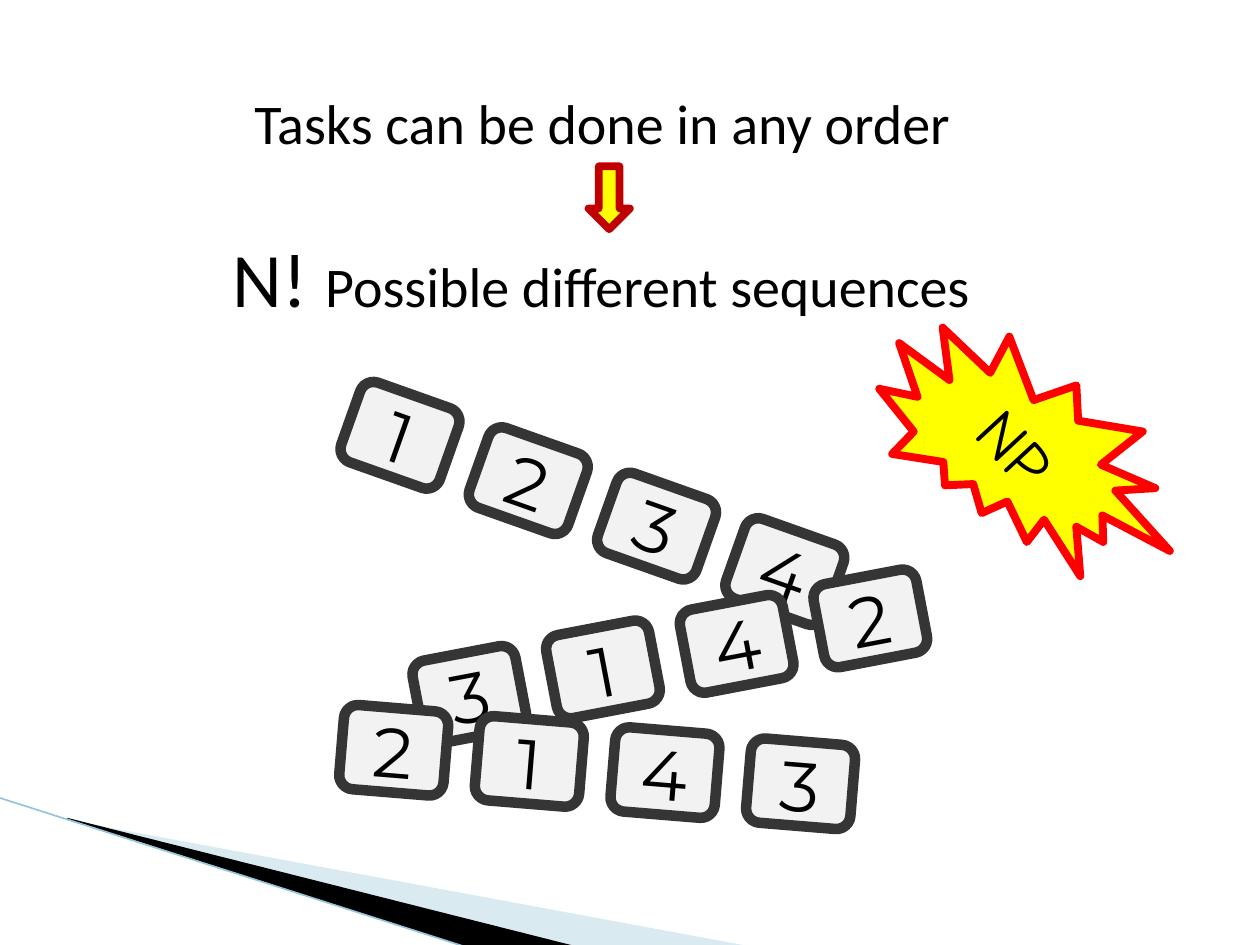
from math import cos, radians, sin

from lxml import etree
from pptx import Presentation
from pptx.dml.color import RGBColor
from pptx.enum.shapes import MSO_CONNECTOR, MSO_SHAPE
from pptx.enum.text import MSO_ANCHOR, MSO_AUTO_SIZE, PP_ALIGN
from pptx.oxml.ns import qn
from pptx.util import Inches, Pt

STRAIGHT = MSO_CONNECTOR.STRAIGHT
CARD, ARROW, BURST = (MSO_SHAPE.ROUNDED_RECTANGLE, MSO_SHAPE.DOWN_ARROW,
                      MSO_SHAPE.EXPLOSION2)
MIDDLE, CENTER, GROW = MSO_ANCHOR.MIDDLE, PP_ALIGN.CENTER, MSO_AUTO_SIZE.SHAPE_TO_FIT_TEXT

COLORS = {
    "black": "000000", "pale_blue": "A0CBDC", "edge": "97C5D8",
    "yellow": "FFFF00", "dark_red": "C00000", "red": "FF0000",
    "card": "F2F2F2", "card_edge": "353535",
}
CARD_SIZE = (0.83, 0.67)
CARD_STEP = 1.08

# Order of tasks, position of the first card, tilt in degrees
SEQUENCES = [
    ("1234", 2.76, 3.12, 19.5),
    ("3142", 3.31, 5.18, -10.8),
    ("2143", 2.71, 5.62, 4.7),
]


def rgb(name):
    return RGBColor.from_string(COLORS[name])


def add_run(paragraph, text, size, font):
    run = paragraph.add_run()
    run.text = text
    run.font.size = Pt(size)
    run.font.name = font
    run.font.color.rgb = rgb("black")


def add_wedge(slide, points, color, opacity=100):
    corners = [(Inches(x), Inches(y)) for x, y in points]
    builder = slide.shapes.build_freeform(*corners[0])
    builder.add_line_segments(corners[1:], close=True)
    wedge = builder.convert_to_shape()
    wedge.shadow.inherit = False
    wedge.fill.solid()
    wedge.fill.fore_color.rgb = rgb(color)
    wedge.line.fill.background()
    if opacity < 100:
        tint = wedge.fill._xPr.find(".//" + qn("a:srgbClr"))
        etree.SubElement(tint, qn("a:alpha"), val=str(opacity * 1000))


def add_edge(slide, start, end):
    edge = slide.shapes.add_connector(STRAIGHT, *map(Inches, start + end))
    edge.line.color.rgb = rgb("edge")
    edge.line.width = Pt(0.95)
    etree.SubElement(edge._element.spPr, qn("a:effectLst"))


def add_statement(slide, box, runs):
    frame = slide.shapes.add_textbox(*map(Inches, box)).text_frame
    frame.word_wrap = False
    frame.auto_size = GROW
    frame.vertical_anchor = MIDDLE
    paragraph = frame.paragraphs[0]
    paragraph.line_spacing = 1.5
    for text, size in runs:
        add_run(paragraph, text, size, "Calibri")


def add_figure(slide, kind, box, fill, line, width, rotation=0):
    figure = slide.shapes.add_shape(kind, *map(Inches, box))
    figure.shadow.inherit = False
    figure.rotation = rotation
    figure.fill.solid()
    figure.fill.fore_color.rgb = rgb(fill)
    figure.line.color.rgb = rgb(line)
    figure.line.width = Pt(width)
    return figure


def add_label(figure, text, size, font):
    frame = figure.text_frame
    frame.vertical_anchor = MIDDLE
    frame.margin_left = frame.margin_right = 0
    paragraph = frame.paragraphs[0]
    paragraph.alignment = CENTER
    add_run(paragraph, text, size, font)


def add_sequence(slide, tasks, left, top, tilt):
    dx = CARD_STEP * cos(radians(tilt))
    dy = CARD_STEP * sin(radians(tilt))
    for i, task in enumerate(tasks):
        box = (left + i * dx, top + i * dy, *CARD_SIZE)
        card = add_figure(slide, CARD, box, "card", "card_edge", 6, tilt)
        add_label(card, task, 40, "Montserrat")


def main():
    prs = Presentation()
    prs.slide_width, prs.slide_height = Inches(10), Inches(7.5)
    slide = prs.slides.add_slide(prs.slide_layouts[6])

    # Corner decoration
    add_wedge(slide, [(0.55, 6.51), (5.95, 7.51), (4.56, 7.51), (0.55, 6.5)],
              "pale_blue", 40)
    add_wedge(slide, [(0.53, 6.49), (4.57, 7.51), (3.72, 7.52), (0.54, 6.5)],
              "black")
    add_edge(slide, (-0.01, 6.33), (3.71, 7.52))

    # Statement and its consequence
    add_statement(slide, (1.92, 0.42, 5.78, 0.83),
                  [("Tasks can be done in any order", 32)])
    add_statement(slide, (1.75, 1.41, 6.12, 1.21),
                  [("N! ", 44), ("Possible different sequences", 32)])
    add_figure(slide, ARROW, (4.67, 1.32, 0.33, 0.5), "yellow", "dark_red", 4.33)

    # Example sequences
    for sequence in SEQUENCES:
        add_sequence(slide, *sequence)

    # Complexity class
    burst = add_figure(slide, BURST, (6.82, 2.81, 2.67, 1.58),
                       "yellow", "red", 4.5, 47.2)
    add_label(burst, "NP", 36, "Comic Neue")

    prs.save("out.pptx")


if __name__ == "__main__":
    main()
